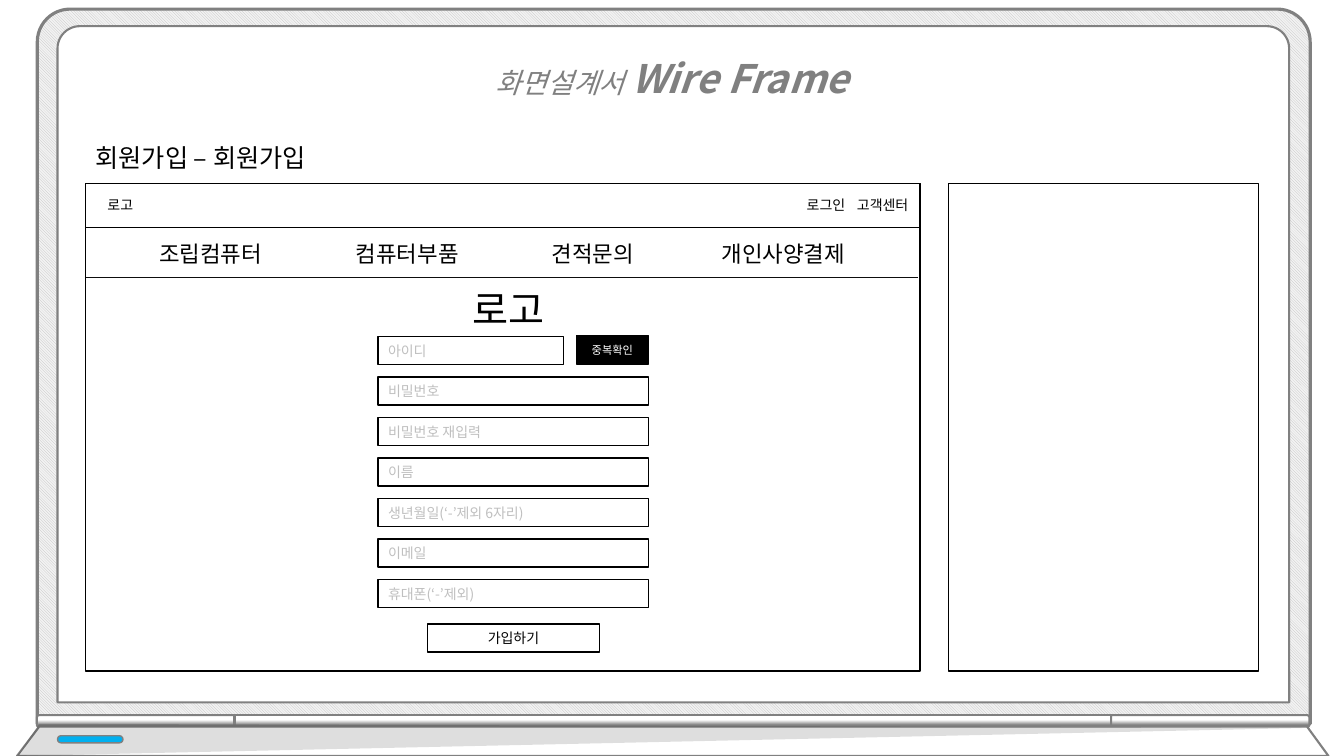
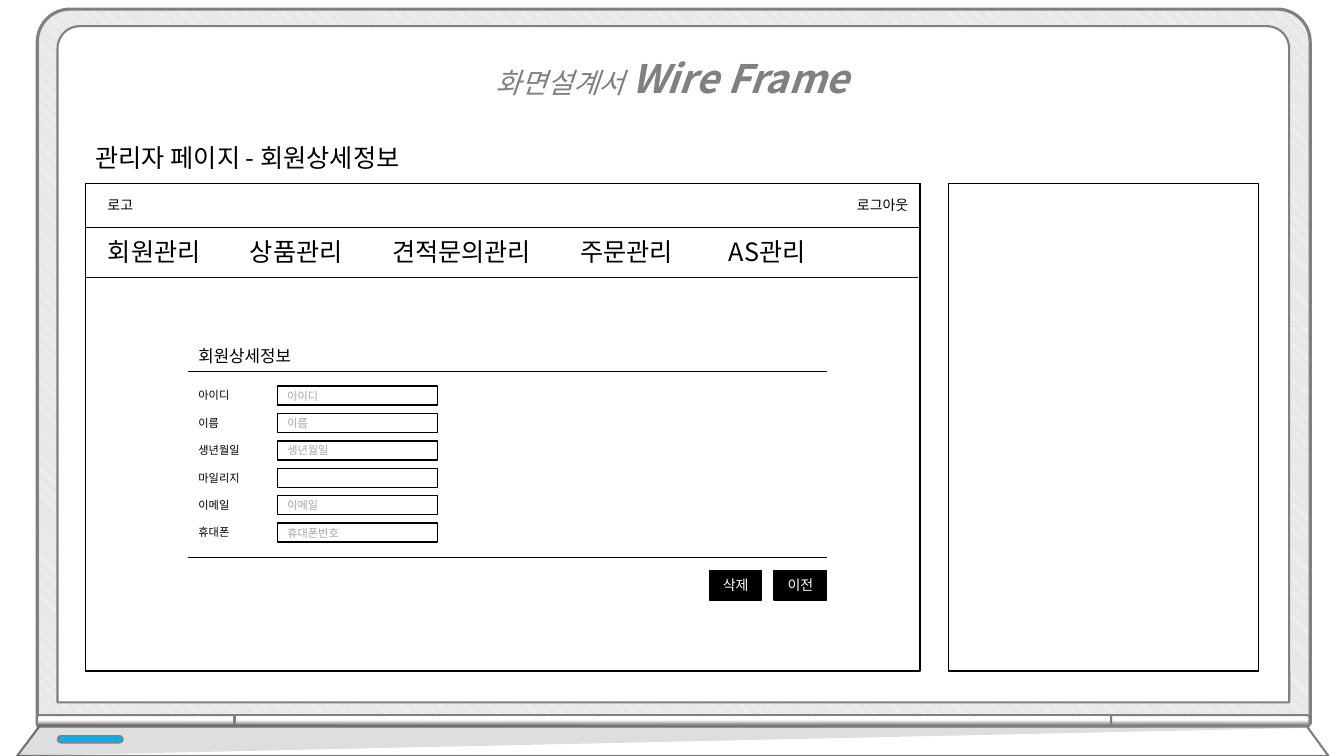
from typing import NamedTuple, Optional, Sequence

from lxml.etree import SubElement
from pptx import Presentation
from pptx.dml.color import RGBColor
from pptx.enum.dml import MSO_PATTERN
from pptx.enum.shapes import MSO_CONNECTOR, MSO_SHAPE
from pptx.enum.text import MSO_ANCHOR, MSO_AUTO_SIZE, PP_ALIGN
from pptx.oxml.ns import qn
from pptx.util import Cm, Pt

FONT = "Noto Sans CJK KR"
COLORS = {
    "white": "FFFFFF",
    "black": "000000",
    "rule": "0D0D0D",
    "frame": "808080",
    "hatch": "BFBFBF",
    "casing": "F2F2F2",
    "light": "00B0F0",
    "hint": "BFBFBF",
    "detail_hint": "A6A6A6",
}


class Area(NamedTuple):
    left: float
    top: float
    width: float
    height: float


class Hinge(NamedTuple):
    center: float
    length: float
    rotation: int
    rounding: float
    flipped: bool = False


class Link(NamedTuple):
    text: str
    right: float


class Menu(NamedTuple):
    items: Sequence[str]
    stops: Sequence[float]
    left: float
    top: float
    size: float


class Field(NamedTuple):
    label: str
    hint: str


LID = Area(0.94, 0.23, 32.08, 18.01)
SCREEN = Area(1.45, 0.66, 31.04, 17.04)
LAMP = Area(1.45, 18.54, 1.65, 0.18)
BASE = [(0.99, 18.31), (32.94, 18.31), (33.48, 19.05), (0.43, 19.05)]
SHADE = [(0.99, 18.24), (0.43, 19.05), (33.07, 18.34)]
HINGE_MIDDLE, HINGE_DEPTH = 18.17, 0.3
HINGES = [
    Hinge(3.43, 5, 270, 0.193),
    Hinge(30.5, 5, 90, 0.193, True),
    Hinge(16.96, 22.1, 270, 0),
]
BROWSER = Area(2.16, 4.62, 21.03, 12.29)
HEADER = BROWSER._replace(height=1.12)
NOTES = BROWSER._replace(left=23.9, width=7.82)
INNER_RIGHT = 23.14

SIGNUP_LINKS = [Link("로그인", 21.55), Link("고객센터", INNER_RIGHT)]
ADMIN_LINKS = [Link("로그아웃", INNER_RIGHT)]
SIGNUP_MENU = Menu(["조립컴퓨터", "컴퓨터부품", "견적문의", "개인사양결제"],
                   [4.96, 9.9, 14.18], 3.76, 5.92, 16)
ADMIN_MENU = Menu(["회원관리", "상품관리", "견적문의관리", "주문관리", "AS관리"],
                  [3.58, 7.16, 11.9, 15.65], 2.47, 5.84, 18)
SIGNUP_HINTS = ["아이디", "비밀번호", "비밀번호 재입력", "이름",
                "생년월일(‘-’제외 6자리)", "이메일", "휴대폰(‘-’제외)"]
MEMBER_FIELDS = [
    Field("아이디", "아이디"),
    Field("이름", "이름"),
    Field("생년월일", "생년월일"),
    Field("마일리지", ""),
    Field("이메일", "이메일"),
    Field("휴대폰", "휴대폰번호"),
]


def rgb(name: str) -> RGBColor:
    return RGBColor.from_string(COLORS[name])


def add_span(para, text: str, *, size: float, color: str = "black",
             bold: bool = False, italic: bool = False) -> None:
    span = para.add_run()
    span.text = text
    font = span.font
    font.name, font.size = FONT, Pt(size)
    font.bold, font.italic = bold, italic
    font.color.rgb = rgb(color)
    SubElement(font._element, qn("a:ea"), typeface=FONT)


def add_text(page, area: Area, text: str = "", *, size: float = 10,
             align: PP_ALIGN = PP_ALIGN.LEFT, stops: Sequence[float] = ()):
    box = page.shapes.add_textbox(*map(Cm, area))
    box.text_frame.word_wrap = True
    box.text_frame.auto_size = MSO_AUTO_SIZE.SHAPE_TO_FIT_TEXT
    para = box.text_frame.paragraphs[0]
    para.alignment = align
    if stops:
        tabs = SubElement(para._p.get_or_add_pPr(), qn("a:tabLst"))
        for stop in stops:
            SubElement(tabs, qn("a:tab"), pos=str(Cm(stop)), algn="l")
    if text:
        add_span(para, text, size=size)
    return para


def outline(shape, color: str, width: float) -> None:
    shape.shadow.inherit = False
    shape.line.color.rgb = rgb(color)
    shape.line.width = Pt(width)


def add_panel(shapes, area: Area, *, kind: MSO_SHAPE = MSO_SHAPE.RECTANGLE,
              fill: str = "white", line: str = "black", width: float = 1,
              rounding: Optional[float] = None):
    panel = shapes.add_shape(kind, *map(Cm, area))
    panel.fill.solid()
    panel.fill.fore_color.rgb = rgb(fill)
    outline(panel, line, width)
    if rounding is not None:
        panel.adjustments[0] = rounding
    return panel


def add_control(page, area: Area, text: str, *, size: float = 10, fill: str = "white",
                color: str = "black", align: PP_ALIGN = PP_ALIGN.CENTER) -> None:
    frame = add_panel(page.shapes, area, fill=fill).text_frame
    frame.word_wrap = True
    frame.vertical_anchor = MSO_ANCHOR.MIDDLE
    if text:
        para = frame.paragraphs[0]
        para.alignment = align
        add_span(para, text, size=size, color=color)


def add_rule(page, left: float, right: float, top: float, color: str = "black") -> None:
    rule = page.shapes.add_connector(MSO_CONNECTOR.STRAIGHT,
                                     Cm(left), Cm(top), Cm(right), Cm(top))
    rule.line.color.rgb = rgb(color)
    rule.line.width = Pt(0.5)
    SubElement(rule._element.spPr, qn("a:effectLst"))


def add_outline(shapes, points: Sequence[tuple[float, float]], fill: str):
    corners = [(Cm(x), Cm(y)) for x, y in points]
    builder = shapes.build_freeform(*corners[0])
    builder.add_line_segments(corners[1:], close=True)
    polygon = builder.convert_to_shape()
    polygon.fill.solid()
    polygon.fill.fore_color.rgb = rgb(fill)
    outline(polygon, "frame", 1.5)
    return polygon


def add_hinge(shapes, hinge: Hinge) -> None:
    area = Area(hinge.center - HINGE_DEPTH / 2, HINGE_MIDDLE - hinge.length / 2,
                HINGE_DEPTH, hinge.length)
    bar = add_panel(shapes, area, kind=MSO_SHAPE.ROUND_2_SAME_RECTANGLE,
                    line="frame", width=1.5, rounding=hinge.rounding)
    bar.rotation = hinge.rotation
    if hinge.flipped:
        bar._element.spPr.xfrm.set("flipH", "1")
    bar.fill.gradient()
    bar.fill.gradient_angle = 0
    for stop, color, position in zip(bar.fill.gradient_stops, ("frame", "white"), (0.17, 0.59)):
        stop.color.rgb = rgb(color)
        stop.position = position


def add_laptop(page) -> None:
    shapes = page.shapes.add_group_shape().shapes
    lid = add_panel(shapes, LID, kind=MSO_SHAPE.ROUND_2_SAME_RECTANGLE,
                    line="frame", width=2.25, rounding=0.046)
    lid.fill.patterned()
    lid.fill.pattern = MSO_PATTERN.LIGHT_DOWNWARD_DIAGONAL
    lid.fill.fore_color.rgb = rgb("hatch")
    lid.fill.back_color.rgb = rgb("casing")
    add_panel(shapes, SCREEN, kind=MSO_SHAPE.ROUND_2_SAME_RECTANGLE,
              line="frame", width=1.5, rounding=0.033)
    for hinge in HINGES:
        add_hinge(shapes, hinge)
    add_outline(shapes, BASE, "white")
    shade = add_outline(shapes, SHADE, "black")
    shade.line.fill.background()
    color = shade._element.spPr.find(qn("a:solidFill")).find(qn("a:srgbClr"))
    SubElement(color, qn("a:alpha"), val="13000")
    add_panel(shapes, LAMP, kind=MSO_SHAPE.ROUNDED_RECTANGLE,
              fill="light", line="frame", rounding=0.5)


def add_wireframe(deck, heading: str, links: Sequence[Link], menu: Menu):
    page = deck.slides.add_slide(deck.slide_layouts[6])
    add_laptop(page)
    title = add_text(page, Area(9.32, 0.64, 15.24, 2.06), align=PP_ALIGN.CENTER)
    title.line_spacing = 1.5
    add_span(title, "화면설계서 ", size=20, color="frame", italic=True)
    add_span(title, "Wire Frame", size=28, color="frame", bold=True, italic=True)
    add_text(page, Area(2.16, 3.45, 12, 1.02), heading, size=18)
    for area in (BROWSER, NOTES, HEADER):
        add_panel(page.shapes, area)
    add_text(page, Area(2.46, 4.83, 6.12, 0.69), "로고")
    for link in links:
        add_text(page, Area(link.right - 4, 4.83, 4, 0.69), link.text, align=PP_ALIGN.RIGHT)
    add_text(page, Area(menu.left, menu.top, INNER_RIGHT - menu.left, 1),
             "\t".join(menu.items), size=menu.size, stops=menu.stops)
    add_rule(page, BROWSER.left, INNER_RIGHT, 6.99, "rule")
    return page


def add_signup(deck) -> None:
    page = add_wireframe(deck, "회원가입 – 회원가입", SIGNUP_LINKS, SIGNUP_MENU)
    add_text(page, Area(11.66, 7.06, 2.57, 1.45), "로고", size=28)
    for index, hint in enumerate(SIGNUP_HINTS):
        width = 6.81 if index else 4.67
        add_control(page, Area(9.53, 8.48 + 1.02 * index, width, 0.71), hint,
                    color="hint", align=PP_ALIGN.LEFT)
    add_control(page, Area(14.53, 8.46, 1.81, 0.71), "중복확인",
                size=8, fill="black", color="white")
    add_control(page, Area(10.77, 15.72, 4.34, 0.71), "가입하기")


def add_member_detail(deck) -> None:
    page = add_wireframe(deck, "관리자 페이지 - 회원상세정보", ADMIN_LINKS, ADMIN_MENU)
    left, right = 4.75, 20.85
    add_text(page, Area(left, 8.59, 3.1, 0.76), "회원상세정보", size=12)
    for top in (9.35, 14.05):
        add_rule(page, left, right, top)
    for index, field in enumerate(MEMBER_FIELDS):
        offset = 0.69 * index
        add_text(page, Area(left, 9.67 + offset, 2.2, 0.61), field.label, size=8)
        add_control(page, Area(6.99, 9.73 + offset, 4.04, 0.48), field.hint,
                    size=8, color="detail_hint", align=PP_ALIGN.LEFT)
    for index, label in enumerate(("삭제", "이전")):
        add_control(page, Area(17.88 + 1.63 * index, 14.38, 1.32, 0.74), label,
                    fill="black", color="white")


def main() -> None:
    deck = Presentation()
    deck.slide_width, deck.slide_height = Cm(33.87), Cm(19.05)
    add_signup(deck)
    add_member_detail(deck)
    deck.save("out.pptx")


if __name__ == "__main__":
    main()
